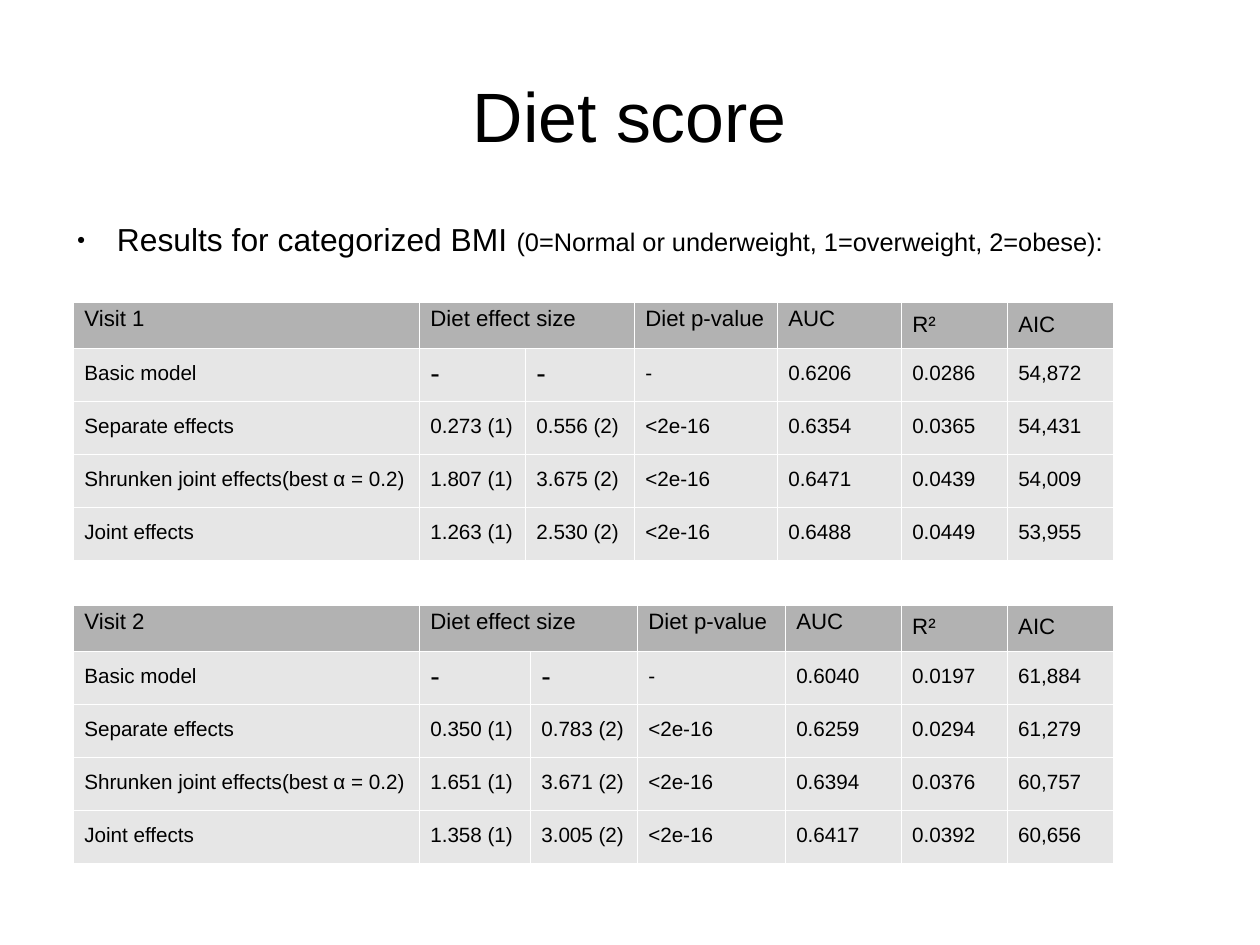
from lxml.etree import SubElement
from pptx import Presentation
from pptx.dml.color import RGBColor
from pptx.enum.text import MSO_ANCHOR, PP_ALIGN
from pptx.oxml.ns import qn
from pptx.util import Pt

PX = 8000  # EMU per px
BLACK = RGBColor(0x00, 0x00, 0x00)
HEADER_GRAY = RGBColor(0xB2, 0xB2, 0xB2)
BODY_GRAY = RGBColor(0xE6, 0xE6, 0xE6)
BORDER_WHITE = RGBColor(0xFF, 0xFF, 0xFF)


def add_run(paragraph, text, size):
    paragraph.line_spacing = 0.94
    run = paragraph.add_run()
    run.text = text
    run.font.size = Pt(size)
    run.font.name = "Arial"
    run.font.color.rgb = BLACK


def add_text_frame(slide, left, top, width, height, inset_top):
    shape = slide.shapes.add_textbox(left * PX, top * PX, width * PX, height * PX)
    frame = shape.text_frame
    frame.word_wrap = True
    frame.margin_left = frame.margin_right = frame.margin_bottom = 0
    frame.margin_top = inset_top * PX
    return frame


presentation = Presentation()
presentation.slide_width = 1260 * PX
presentation.slide_height = 945 * PX
slide = presentation.slides.add_slide(presentation.slide_layouts[6])

# Title
title = add_text_frame(slide, 63, 38, 1134, 158, 4)
title.vertical_anchor = MSO_ANCHOR.MIDDLE
title.paragraphs[0].alignment = PP_ALIGN.CENTER
add_run(title.paragraphs[0], "Diet score", 44)

# Bullet line
body = add_text_frame(slide, 63, 221, 1134, 549, 2)
bullet = body.paragraphs[0]
bullet.space_after = Pt(14.3)
add_run(bullet, "Results for categorized BMI ", 20)
add_run(bullet, "(0=Normal or underweight, 1=overweight, 2=obese):", 16)
properties = bullet._p.get_or_add_pPr()
properties.set("marL", str(54 * PX))
properties.set("indent", str(-40 * PX))
SubElement(properties, qn("a:buSzPct"), val="45000")
SubElement(properties, qn("a:buFont"), typeface="Arial")
SubElement(properties, qn("a:buChar"), char="●")

# Results of the two visits
MODELS = ["Basic model", "Separate effects",
          "Shrunken joint effects(best α = 0.2)", "Joint effects"]
VISITS = [
    ("Visit 1", 302, [346, 106, 109, 143, 124, 106, 106], [
        ["-", "-", "-", "0.6206", "0.0286", "54,872"],
        ["0.273 (1)", "0.556 (2)", "<2e-16", "0.6354", "0.0365", "54,431"],
        ["1.807 (1)", "3.675 (2)", "<2e-16", "0.6471", "0.0439", "54,009"],
        ["1.263 (1)", "2.530 (2)", "<2e-16", "0.6488", "0.0449", "53,955"],
    ]),
    ("Visit 2", 605, [346, 111, 107, 148, 116, 106, 106], [
        ["-", "-", "-", "0.6040", "0.0197", "61,884"],
        ["0.350 (1)", "0.783 (2)", "<2e-16", "0.6259", "0.0294", "61,279"],
        ["1.651 (1)", "3.671 (2)", "<2e-16", "0.6394", "0.0376", "60,757"],
        ["1.358 (1)", "3.005 (2)", "<2e-16", "0.6417", "0.0392", "60,656"],
    ]),
]
ROW_HEIGHTS = [46, 53, 53, 53, 53]

for visit, top, widths, results in VISITS:
    header = [visit, "Diet effect size", "", "Diet p-value", "AUC", "R²", "AIC"]
    rows = [header] + [[model] + values for model, values in zip(MODELS, results)]
    table = slide.shapes.add_table(
        len(rows), len(widths), 73 * PX, top * PX,
        sum(widths) * PX, sum(ROW_HEIGHTS) * PX).table
    table.first_row = table.horz_banding = False
    for column, width in zip(table.columns, widths):
        column.width = width * PX
    for row, height in zip(table.rows, ROW_HEIGHTS):
        row.height = height * PX
    table.cell(0, 1).merge(table.cell(0, 2))

    for row_index, texts in enumerate(rows):
        for column_index, text in enumerate(texts):
            cell = table.cell(row_index, column_index)
            is_header = row_index == 0

            # Thin white borders come before the fill
            cell_properties = cell._tc.get_or_add_tcPr()
            for side in ("lnL", "lnR", "lnT", "lnB"):
                line = SubElement(cell_properties, qn(f"a:{side}"), w="720")
                fill = SubElement(line, qn("a:solidFill"))
                SubElement(fill, qn("a:srgbClr"), val=str(BORDER_WHITE))
            cell.fill.solid()
            cell.fill.fore_color.rgb = HEADER_GRAY if is_header else BODY_GRAY

            top_aligned = is_header and column_index < 5
            cell.vertical_anchor = MSO_ANCHOR.TOP if top_aligned else MSO_ANCHOR.MIDDLE
            if is_header:
                size = 14
            elif text == "-" and column_index < 3:
                size = 18
            else:
                size = 13
            if text:
                add_run(cell.text_frame.paragraphs[0], text, size)

presentation.save("out.pptx")
